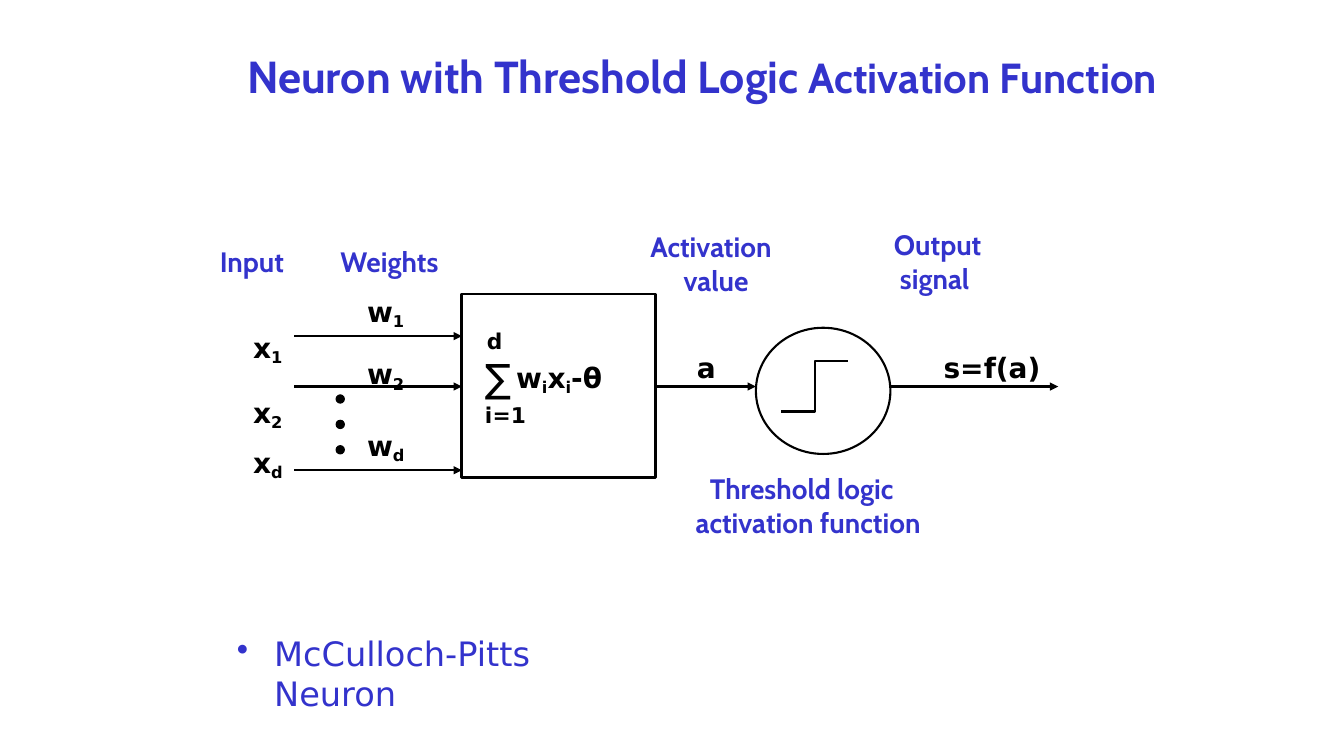
from dataclasses import dataclass

from lxml.etree import SubElement
from pptx import Presentation
from pptx.dml.color import RGBColor
from pptx.enum.shapes import MSO_CONNECTOR, MSO_SHAPE
from pptx.enum.text import MSO_ANCHOR, PP_ALIGN
from pptx.oxml.ns import qn
from pptx.util import Cm, Pt


@dataclass(frozen=True)
class Theme:
    blue: RGBColor = RGBColor(0x33, 0x33, 0xCC)
    black: RGBColor = RGBColor(0, 0, 0)
    heading_font: str = "Cabin"
    symbol_font: str = "DejaVu Sans"
    title_size: float = 32
    title_end_size: float = 30
    list_size: float = 24
    label_size: float = 20
    limit_size: float = 15.5
    sum_size: float = 48
    line: float = 1.5
    box_line: float = 2
    dot_line: float = 0.75


THEME = Theme()
HEADING = {"font": THEME.heading_font, "color": THEME.blue}
SYMBOL = {"font": THEME.symbol_font, "color": THEME.black}
SUB = {"baseline": -19}


def add_span(para, text, *, font, color, size=THEME.label_size, bold=True,
             baseline=0, spacing=0):
    """Add formatted text; baseline is in percent, spacing in points."""
    span = para.add_run()
    span.text = text
    span.font.name, span.font.size, span.font.bold = font, Pt(size), bold
    span.font.color.rgb = color
    properties = span.font._element
    if baseline:
        properties.set("baseline", str(baseline * 1000))
    if spacing:
        properties.set("spc", str(round(spacing * 100)))


class NeuronSlide:
    def __init__(self, deck, theme):
        self.theme = theme
        self.page = deck.slides.add_slide(deck.slide_layouts[6])

    def text(self, left, top, width, height, spans, **style):
        """Add a text box; spans is a string or (text, changes) pairs."""
        box = self.page.shapes.add_textbox(Cm(left), Cm(top), Cm(width), Cm(height))
        self.clear_frame(box.text_frame)
        self.fill_para(box.text_frame.paragraphs[0], spans, **style)
        return box.text_frame

    def clear_frame(self, frame, left=0, top=0):
        frame.word_wrap = True
        frame.vertical_anchor = MSO_ANCHOR.TOP
        frame.margin_left, frame.margin_top = Cm(left), Cm(top)
        frame.margin_right = frame.margin_bottom = 0

    def fill_para(self, para, spans, *, margin=0, indent=0, leading=None,
                  align=PP_ALIGN.LEFT, **style):
        para.alignment = align
        if leading:
            para.line_spacing = Pt(leading)
        properties = para._p.get_or_add_pPr()
        properties.set("marL", str(Cm(margin)))
        properties.set("indent", str(Cm(indent)))
        for text, changes in [(spans, {})] if isinstance(spans, str) else spans:
            add_span(para, text, **{**style, **changes})

    def bullet(self, para):
        SubElement(para._p.get_or_add_pPr(), qn("a:buChar")).set("char", "•")

    def shape(self, kind, left, top, width, height, line, fill=None):
        shape = self.page.shapes.add_shape(kind, Cm(left), Cm(top), Cm(width), Cm(height))
        self.outline(shape, line, fill)
        return shape

    def outline(self, shape, line, fill=None):
        shape.shadow.inherit = False
        shape.line.color.rgb, shape.line.width = self.theme.black, Pt(line)
        if fill is None:
            shape.fill.background()
        else:
            shape.fill.solid()
            shape.fill.fore_color.rgb = fill

    def arrow(self, start, end, top):
        arrow = self.page.shapes.add_connector(
            MSO_CONNECTOR.STRAIGHT, Cm(start), Cm(top), Cm(end), Cm(top))
        arrow.line.color.rgb, arrow.line.width = self.theme.black, Pt(self.theme.line)
        SubElement(arrow.line._get_or_add_ln(), qn("a:tailEnd")).set("type", "triangle")
        SubElement(arrow._element.spPr, qn("a:effectLst"))

    def polyline(self, points):
        first, *others = [(Cm(x), Cm(y)) for x, y in points]
        builder = self.page.shapes.build_freeform(*first)
        builder.add_line_segments(others, close=False)
        self.outline(builder.convert_to_shape(), self.theme.line)


def main():
    deck = Presentation()
    deck.slide_width, deck.slide_height = Cm(33.87), Cm(19.05)
    slide = NeuronSlide(deck, THEME)

    # Title
    title = slide.text(
        4.27, 0.58, 26.42, 2.03,
        [("Neuron with Threshold Logic ", {}),
         ("Activation Function", {"size": THEME.title_end_size})],
        size=THEME.title_size, align=PP_ALIGN.CENTER, margin=0.43, **HEADING)
    title.margin_top = Cm(0.66)

    # Signal arrows: three inputs, activation value, output
    for start, end, top in [(7.42, 11.64, 8.47), (7.42, 11.64, 9.74),
                            (7.42, 11.64, 11.85), (16.51, 19.05, 9.74),
                            (22.43, 26.67, 9.74)]:
        slide.arrow(start, end, top)

    # Input and weight symbols
    inputs = slide.text(6.35, 7.62, 0.89, 3.02, [("x", {}), ("1", SUB)],
                        leading=46.3, margin=0.03, **SYMBOL)
    slide.fill_para(inputs.add_paragraph(), [("x", {}), ("2", SUB)],
                    leading=46.3, margin=0.03, **SYMBOL)
    slide.text(6.35, 11.23, 0.89, 0.86, [("x", {}), ("d", SUB)], margin=0.03, **SYMBOL)
    for index, top in [("1", 7.42), ("2", 8.99), ("d", 10.8)]:
        slide.text(9.25, top, 1.09, 0.86, [("w", {}), (index, SUB)], **SYMBOL)
    for row in range(3):
        slide.shape(MSO_SHAPE.OVAL, 8.47, 9.95 + row * 0.64, 0.21, 0.21,
                    THEME.dot_line, THEME.black)

    # Summation box
    frame = slide.shape(MSO_SHAPE.RECTANGLE, 11.64, 7.41, 4.88, 4.62,
                        THEME.box_line).text_frame
    slide.clear_frame(frame, left=0.58, top=1.01)
    slide.fill_para(frame.paragraphs[0], "d", size=THEME.limit_size,
                    leading=14.3, margin=0.05, spacing=0.2, **SYMBOL)
    slide.fill_para(
        frame.add_paragraph(),
        [("∑", {"size": THEME.sum_size, "bold": False, "baseline": -6, "spacing": 3.5}),
         ("w", {}), ("i", SUB), ("x", {}), ("i", SUB), ("-θ", {})],
        leading=33.9, **SYMBOL)
    slide.fill_para(frame.add_paragraph(), "i=1", size=THEME.limit_size,
                    leading=18.4, spacing=0.2, **SYMBOL)

    # Threshold unit with its step
    slide.shape(MSO_SHAPE.OVAL, 19.05, 8.26, 3.39, 3.18, THEME.line)
    slide.polyline([(19.69, 10.37), (20.53, 10.37), (20.53, 9.1), (21.38, 9.1)])
    slide.text(17.53, 8.84, 0.56, 0.86, "a", margin=0.03, **SYMBOL)
    slide.text(23.75, 8.84, 2.67, 0.86, "s=f(a)", margin=0.03, **SYMBOL)

    # Blue labels
    for left, top, width, label in [(5.54, 6.15, 1.9, "Input"),
                                    (8.58, 6.15, 2.8, "Weights"),
                                    (16.39, 5.79, 3.6, "Activation"),
                                    (17.23, 6.63, 1.9, "value")]:
        slide.text(left, top, width, 0.86, label, **HEADING)
    slide.text(22.5, 5.74, 2.54, 1.7, "Output signal",
               margin=0.18, indent=-0.15, **HEADING)
    slide.text(17.5, 11.89, 6.53, 1.7, "Threshold logic activation function",
               margin=0.03, indent=0.36, **HEADING)

    # Model name
    model = slide.text(5.97, 15.98, 9, 2, "McCulloch-Pitts Neuron",
                       font=THEME.symbol_font, color=THEME.blue,
                       size=THEME.list_size, bold=False, leading=28.1,
                       margin=0.94, indent=-0.94)
    slide.bullet(model.paragraphs[0])

    deck.save("out.pptx")


if __name__ == "__main__":
    main()
